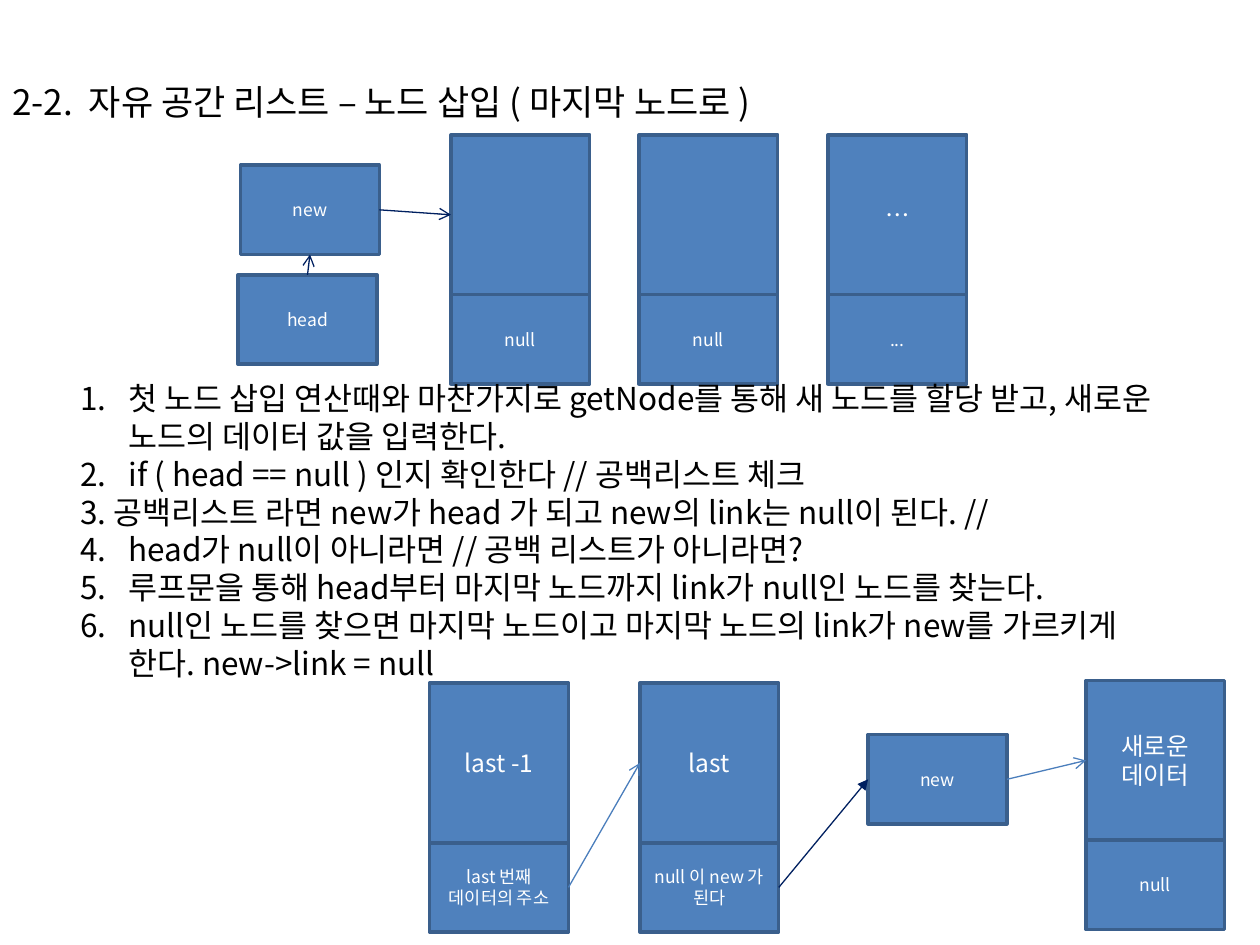
"""Build a slide on inserting a last node into a free-space linked list."""
from lxml import etree
from pptx import Presentation
from pptx.dml.color import RGBColor
from pptx.enum.shapes import MSO_CONNECTOR, MSO_SHAPE
from pptx.enum.text import MSO_ANCHOR, PP_ALIGN
from pptx.oxml.ns import qn
from pptx.util import Cm, Pt

RECTANGLE = MSO_SHAPE.RECTANGLE
STRAIGHT = MSO_CONNECTOR.STRAIGHT
MIDDLE, TOP = MSO_ANCHOR.MIDDLE, MSO_ANCHOR.TOP
CENTER, LEFT = PP_ALIGN.CENTER, PP_ALIGN.LEFT
SITE_TOP, SITE_LEFT, SITE_BOTTOM, SITE_RIGHT = range(4)

FONT = "Noto Sans CJK KR"
COLORS = {
    "text": "000000", "box": "4F81BD", "border": "3A5F8C",
    "box text": "FFFFFF", "navy": "002060", "blue": "4B7EBC",
}
BOX_WIDTH, DATA_HEIGHT, LINK_HEIGHT = 2.8, 3.22, 1.8
INDENT = 0.97

TITLE = "2-2.  자유 공간 리스트 – 노드 삽입 ( 마지막 노드로 )"
STEPS = [
    (1, "첫 노드 삽입 연산때와 마찬가지로 getNode를 통해 새 노드를 할당 받고, 새로운 노드의 데이터 값을 입력한다."),
    (1, "if ( head == null ) 인지 확인한다 // 공백리스트 체크"),
    (None, "3. 공백리스트 라면 new가 head 가 되고 new의 link는 null이 된다. //"),
    (4, "head가 null이 아니라면 // 공백 리스트가 아니라면?"),
    (4, "루프문을 통해 head부터 마지막 노드까지 link가 null인 노드를 찾는다."),
    (4, "null인 노드를 찾으면 마지막 노드이고 마지막 노드의 link가 new를 가르키게 한다. new->link = null"),
]
NODES = [
    ("first", 9.09, 2.72, "", "null"),
    ("second", 12.88, 2.72, "", "null"),
    ("others", 16.69, 2.72, "…", "..."),
    ("before last", 8.66, 13.77, "last -1", "last 번째 데이터의 주소"),
    ("last", 12.9, 13.77, "last", "null 이 new 가 된다"),
    ("added", 21.89, 13.72, "새로운 데이터", "null"),
]
POINTERS = [
    ("top new", 4.85, 3.33, "new"),
    ("head", 4.8, 5.54, "head"),
    ("bottom new", 17.5, 14.81, "new"),
]
ARROWS = [
    ("top new", SITE_RIGHT, "first data", SITE_LEFT, "navy", "arrow"),
    ("head", SITE_TOP, "top new", SITE_BOTTOM, "navy", "arrow"),
    ("last link", SITE_RIGHT, "bottom new", SITE_LEFT, "navy", "triangle"),
    ("bottom new", SITE_RIGHT, "added data", SITE_LEFT, "blue", "arrow"),
    ("before last link", SITE_RIGHT, "last data", SITE_LEFT, "blue", "arrow"),
]


def color(name):
    return RGBColor.from_string(COLORS[name])


def write(shape, texts, size, color_name, alignment, anchor):
    frame = shape.text_frame
    frame.word_wrap = True
    frame.vertical_anchor = anchor
    frame.text = "\n".join(texts)
    for paragraph in frame.paragraphs:
        paragraph.alignment = alignment
        paragraph.line_spacing = Pt(1.2 * size)
        font = paragraph.font
        font.name, font.size = FONT, Pt(size)
        font.color.rgb = color(color_name)
        defaults = paragraph._p.pPr.find(qn("a:defRPr"))
        etree.SubElement(defaults, qn("a:ea"), typeface=FONT)
    return frame.paragraphs


def add_text(slide, left, top, width, height, texts, size, anchor):
    box = slide.shapes.add_textbox(Cm(left), Cm(top), Cm(width), Cm(height))
    return write(box, texts, size, "text", LEFT, anchor)


def number(paragraph, start):
    properties = paragraph._p.pPr
    properties.set("marL", str(Cm(INDENT)))
    properties.set("indent", str(-Cm(INDENT)))
    bullet = etree.Element(qn("a:buAutoNum"), type="arabicPeriod", startAt=str(start))
    properties.find(qn("a:defRPr")).addprevious(bullet)


def add_box(slide, left, top, height, text, size):
    shape = slide.shapes.add_shape(RECTANGLE, Cm(left), Cm(top), Cm(BOX_WIDTH), Cm(height))
    shape.shadow.inherit = False
    shape.fill.solid()
    shape.fill.fore_color.rgb = color("box")
    shape.line.color.rgb = color("border")
    shape.line.width = Pt(2)
    if text:
        write(shape, [text], size, "box text", CENTER, MIDDLE)
    return shape


def add_arrow(slide, start, start_site, end, end_site, color_name, head):
    connector = slide.shapes.add_connector(STRAIGHT, 0, 0, 0, 0)
    connector.begin_connect(start, start_site)
    connector.end_connect(end, end_site)
    connector.line.color.rgb = color(color_name)
    connector.line.width = Pt(0.75)
    etree.SubElement(connector.line._get_or_add_ln(), qn("a:tailEnd"), type=head)
    etree.SubElement(connector._element.spPr, qn("a:effectLst"))


def main():
    presentation = Presentation()
    presentation.slide_width, presentation.slide_height = Cm(25.4), Cm(19.05)
    slide = presentation.slides.add_slide(presentation.slide_layouts[6])

    add_text(slide, 0, 0, 25.4, 4.09, [TITLE], 20, MIDDLE)
    boxes = {}
    for name, left, top, data, link in NODES:
        boxes[f"{name} data"] = add_box(slide, left, top, DATA_HEIGHT, data, 14)
        boxes[f"{name} link"] = add_box(slide, left, top + DATA_HEIGHT, LINK_HEIGHT, link, 10)
    for name, left, top, text in POINTERS:
        boxes[name] = add_box(slide, left, top, LINK_HEIGHT, text, 10)

    texts = [text for _, text in STEPS]
    paragraphs = add_text(slide, 1.37, 7.52, 22.63, 6.4, texts, 18, TOP)
    for paragraph, (start, _) in zip(paragraphs, STEPS):
        if start:
            number(paragraph, start)

    for start, start_site, end, end_site, color_name, head in ARROWS:
        add_arrow(slide, boxes[start], start_site, boxes[end], end_site, color_name, head)
    presentation.save("out.pptx")


if __name__ == "__main__":
    main()
